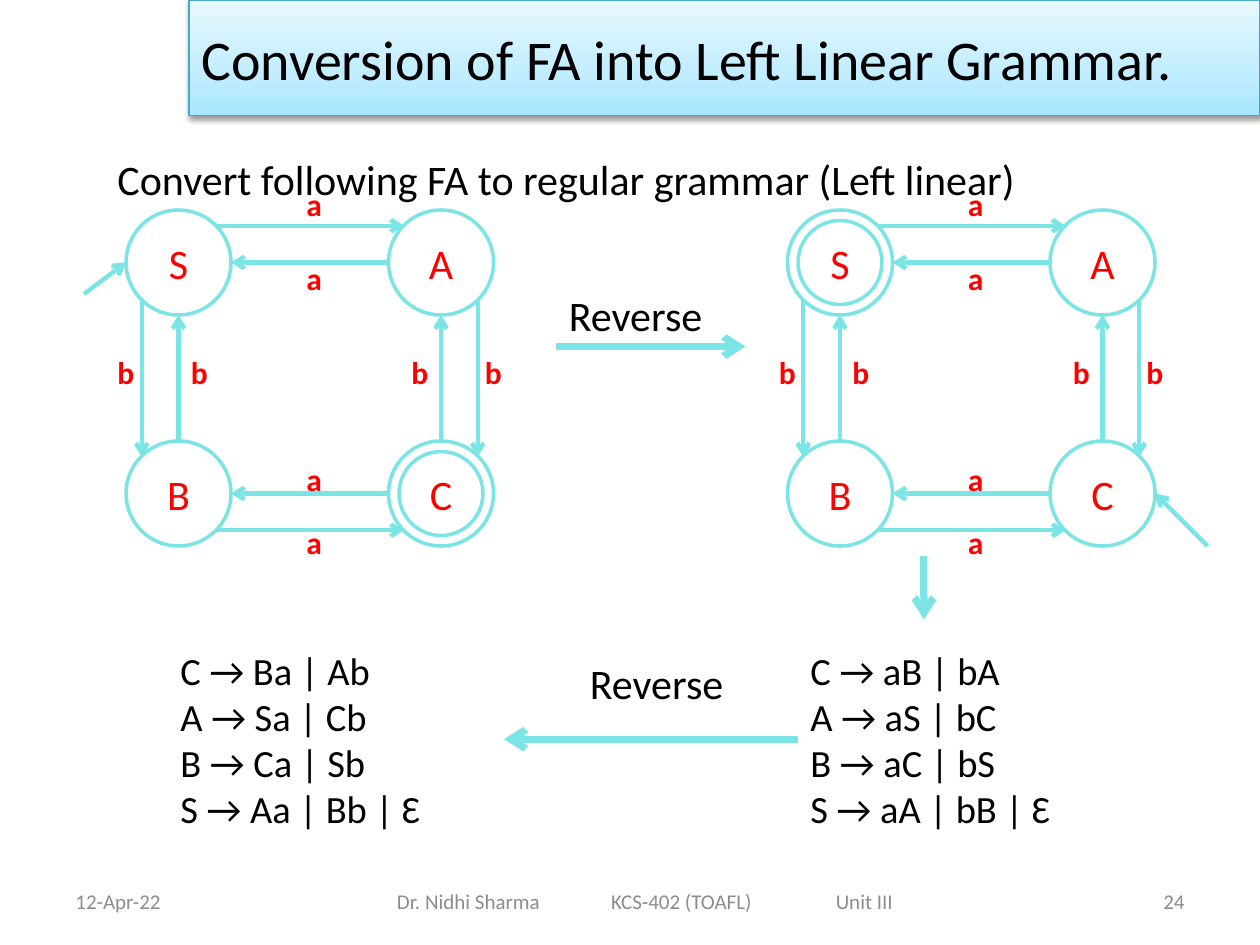
"""Build a slide that turns a finite automaton into a left linear grammar."""
from copy import deepcopy
from dataclasses import dataclass

from lxml.etree import SubElement
from pptx import Presentation
from pptx.dml.color import RGBColor
from pptx.enum.shapes import MSO_CONNECTOR, MSO_SHAPE
from pptx.enum.text import MSO_ANCHOR, PP_ALIGN
from pptx.oxml.ns import qn
from pptx.util import Emu, Pt

PX = 7620
LEFT, MID, RIGHT, FULL = PP_ALIGN.LEFT, PP_ALIGN.CENTER, PP_ALIGN.RIGHT, PP_ALIGN.JUSTIFY


@dataclass(frozen=True)
class Theme:
    font: str = "Calibri"
    ink: str = "000000"
    red: str = "FF0000"
    gray: str = "8C8C8C"
    teal: str = "7BE5E5"
    edge: str = "46AAC5"
    fade: tuple = ((0, "A7E6FF"), (0.35, "C1EDFF"), (1, "E7F8FF"))
    title: int = 32
    body: int = 24
    rule: int = 22
    label: int = 18
    foot: int = 12
    ring: float = 2
    thin: float = 2.5
    thick: float = 4


@dataclass(frozen=True)
class Box:
    x: int
    y: int
    w: int
    h: int

    def shift(self, x: int, y: int) -> "Box":
        return Box(self.x + x, self.y + y, self.w, self.h)

    def place(self) -> tuple:
        return tuple(Emu(n * PX) for n in (self.x, self.y, self.w, self.h))


@dataclass(frozen=True)
class Line:
    x1: int
    y1: int
    x2: int
    y2: int

    def shift(self, x: int, y: int) -> "Line":
        return Line(self.x1 + x, self.y1 + y, self.x2 + x, self.y2 + y)


@dataclass(frozen=True)
class Graph:
    x: int
    y: int
    start: Line
    final: str


@dataclass(frozen=True)
class Note:
    text: str
    box: Box
    size: int
    color: str
    align: PP_ALIGN = LEFT
    anchor: MSO_ANCHOR = MSO_ANCHOR.TOP


THEME = Theme()
NODES = {"S": Box(0, 0, 100, 100), "A": Box(250, 0, 100, 100),
         "B": Box(0, 220, 100, 100), "C": Box(250, 220, 100, 100)}
EDGES = [Line(85, 15, 265, 15), Line(250, 50, 100, 50),
         Line(250, 270, 100, 270), Line(85, 305, 265, 305),
         Line(15, 85, 15, 235), Line(50, 220, 50, 100),
         Line(300, 220, 300, 100), Line(335, 85, 335, 235)]
MARKS = ([("a", 160, y) for y in (-30, 41, 232, 292)]
         + [("b", x, 130) for x in (-20, 50, 260, 330)])
GRAPHS = [Graph(120, 200, Line(-40, 80, 0, 50), "C"),
          Graph(750, 200, Line(400, 320, 350, 270), "S")]
STEPS = [Line(530, 330, 710, 330), Line(880, 530, 880, 590), Line(760, 704, 480, 704)]
TITLE = Note("Conversion of FA into Left Linear Grammar.", Box(180, 0, 1020, 110),
             THEME.title, THEME.ink, LEFT, MSO_ANCHOR.MIDDLE)
FOOT = Note("Dr. Nidhi Sharma\tKCS-402 (TOAFL)\tUnit III", Box(330, 834, 570, 48),
            THEME.foot, THEME.gray, LEFT, MSO_ANCHOR.MIDDLE)
NOTES = [
    Note("Convert following FA to regular grammar (Left linear)", Box(100, 140, 1040, 680),
         THEME.body, THEME.ink, FULL),
    Note("12-Apr-22", Box(60, 834, 280, 48), THEME.foot, THEME.gray, LEFT, MSO_ANCHOR.MIDDLE),
    Note("24", Box(860, 834, 280, 48), THEME.foot, THEME.gray, RIGHT, MSO_ANCHOR.MIDDLE),
    Note("C → aB | bA\nA → aS | bC\nB → aC | bS\nS → aA | bB | Ɛ", Box(760, 610, 320, 190),
         THEME.rule, THEME.ink, FULL),
    Note("C → Ba | Ab\nA → Sa | Cb\nB → Ca | Sb\nS → Aa | Bb | Ɛ", Box(160, 610, 320, 190),
         THEME.rule, THEME.ink, FULL),
    Note("Reverse", Box(530, 270, 190, 60), THEME.body, THEME.ink),
    Note("Reverse", Box(550, 620, 190, 60), THEME.body, THEME.ink),
]


def rgb(code: str) -> RGBColor:
    return RGBColor.from_string(code)


def write(shape, note: Note, bold: bool = False, tabs: tuple = ()) -> None:
    frame = shape.text_frame
    frame.word_wrap = True
    frame.vertical_anchor = note.anchor
    frame.text = note.text
    for para in frame.paragraphs:
        para.alignment = note.align
        if tabs:
            stops = SubElement(para._p.get_or_add_pPr(), qn("a:tabLst"))
            for pos in tabs:
                SubElement(stops, qn("a:tab"), pos=str(pos * PX), algn="l")
        font = para.font
        font.name, font.size, font.bold = THEME.font, Pt(note.size), bold
        font.color.rgb = rgb(note.color)


def add_note(slide, note: Note, bold: bool = False, tabs: tuple = ()):
    shape = slide.shapes.add_textbox(*note.box.place())
    write(shape, note, bold, tabs)
    return shape


def add_ring(slide, box: Box):
    ring = slide.shapes.add_shape(MSO_SHAPE.OVAL, *box.place())
    ring.shadow.inherit = False
    ring.fill.background()
    ring.line.color.rgb = rgb(THEME.teal)
    ring.line.width = Pt(THEME.ring)
    return ring


def add_arrow(slide, line: Line, width: float) -> None:
    ends = (Emu(n * PX) for n in (line.x1, line.y1, line.x2, line.y2))
    arrow = slide.shapes.add_connector(MSO_CONNECTOR.STRAIGHT, *ends)
    arrow.line.color.rgb = rgb(THEME.teal)
    arrow.line.width = Pt(width)
    SubElement(arrow.line._get_or_add_ln(), qn("a:tailEnd"), type="arrow")
    SubElement(arrow._element.spPr, qn("a:effectLst"))


def add_graph(slide, graph: Graph) -> None:
    for name, spot in NODES.items():
        box = spot.shift(graph.x, graph.y)
        if name == graph.final:
            add_ring(slide, Box(box.x + 10, box.y + 10, box.w - 20, box.h - 20))
        write(add_ring(slide, box),
              Note(name, box, THEME.body, THEME.red, MID, MSO_ANCHOR.MIDDLE))
    for edge in [graph.start, *EDGES]:
        add_arrow(slide, edge.shift(graph.x, graph.y), THEME.thin)
    for text, x, y in MARKS:
        box = Box(x, y, 70, 48).shift(graph.x, graph.y)
        add_note(slide, Note(text, box, THEME.label, THEME.red), bold=True)


def add_title(slide) -> None:
    bar = slide.shapes.add_shape(MSO_SHAPE.RECTANGLE, *TITLE.box.place())
    bar.fill.gradient()
    bar.fill.gradient_angle = 90
    props = bar._element.spPr
    stops = props.find(".//" + qn("a:gsLst"))
    stops.insert(1, deepcopy(stops[0]))
    for stop, (pos, code) in zip(bar.fill.gradient_stops, THEME.fade):
        stop.position = pos
        stop.color.rgb = rgb(code)
    bar.line.color.rgb = rgb(THEME.edge)
    bar.line.width = Pt(0.75)
    bar.shadow.inherit = False
    shade = SubElement(props.find(qn("a:effectLst")), qn("a:outerShdw"), blurRad=str(Pt(3.1)),
                       dist=str(Pt(1.6)), dir="5400000", rotWithShape="0")
    tint = SubElement(shade, qn("a:srgbClr"), val=THEME.ink)
    SubElement(tint, qn("a:alpha"), val="38000")
    write(bar, TITLE)


def main() -> None:
    deck = Presentation()
    deck.slide_width, deck.slide_height = Emu(1200 * PX), Emu(900 * PX)
    slide = deck.slides.add_slide(deck.slide_layouts[6])
    add_title(slide)
    for note in NOTES:
        add_note(slide, note)
    foot = add_note(slide, FOOT, tabs=(204, 418))
    foot.text_frame.margin_left = Emu(48 * PX)
    for graph in GRAPHS:
        add_graph(slide, graph)
    for step in STEPS:
        add_arrow(slide, step, THEME.thick)
    deck.save("out.pptx")


if __name__ == "__main__":
    main()
